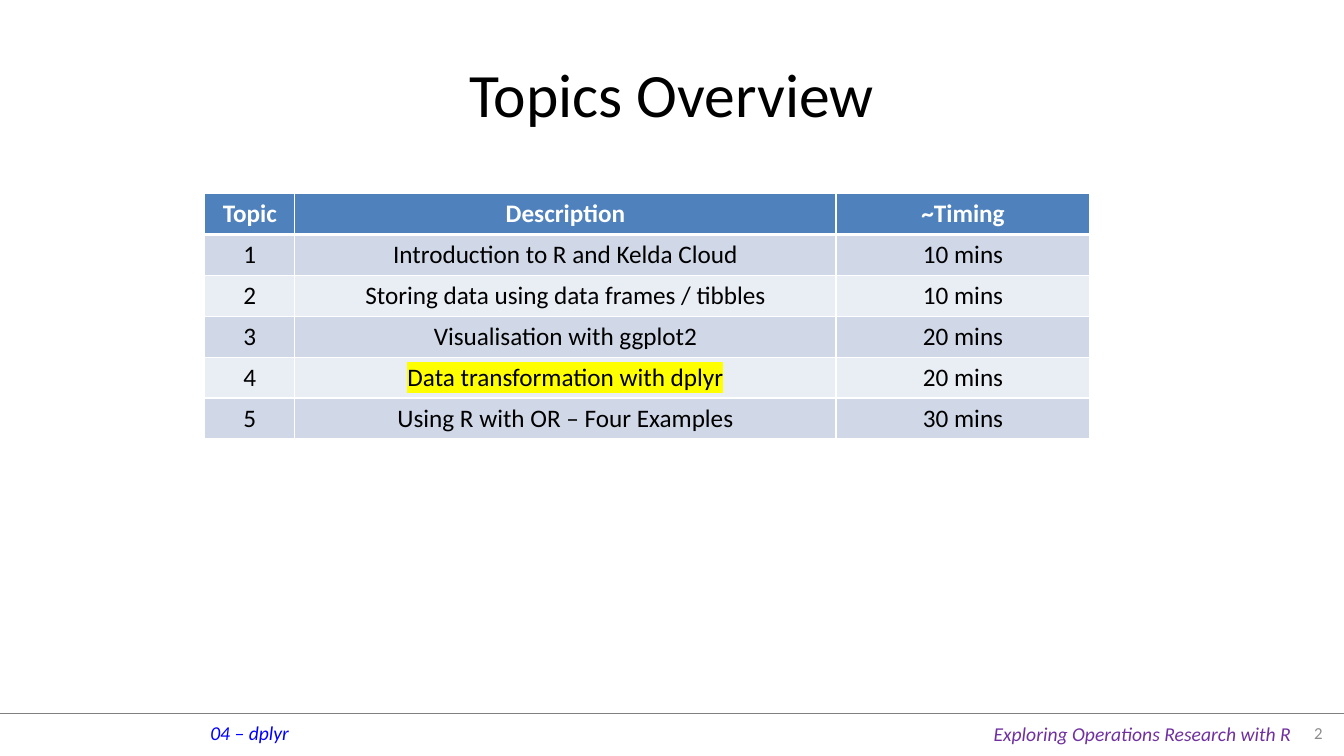
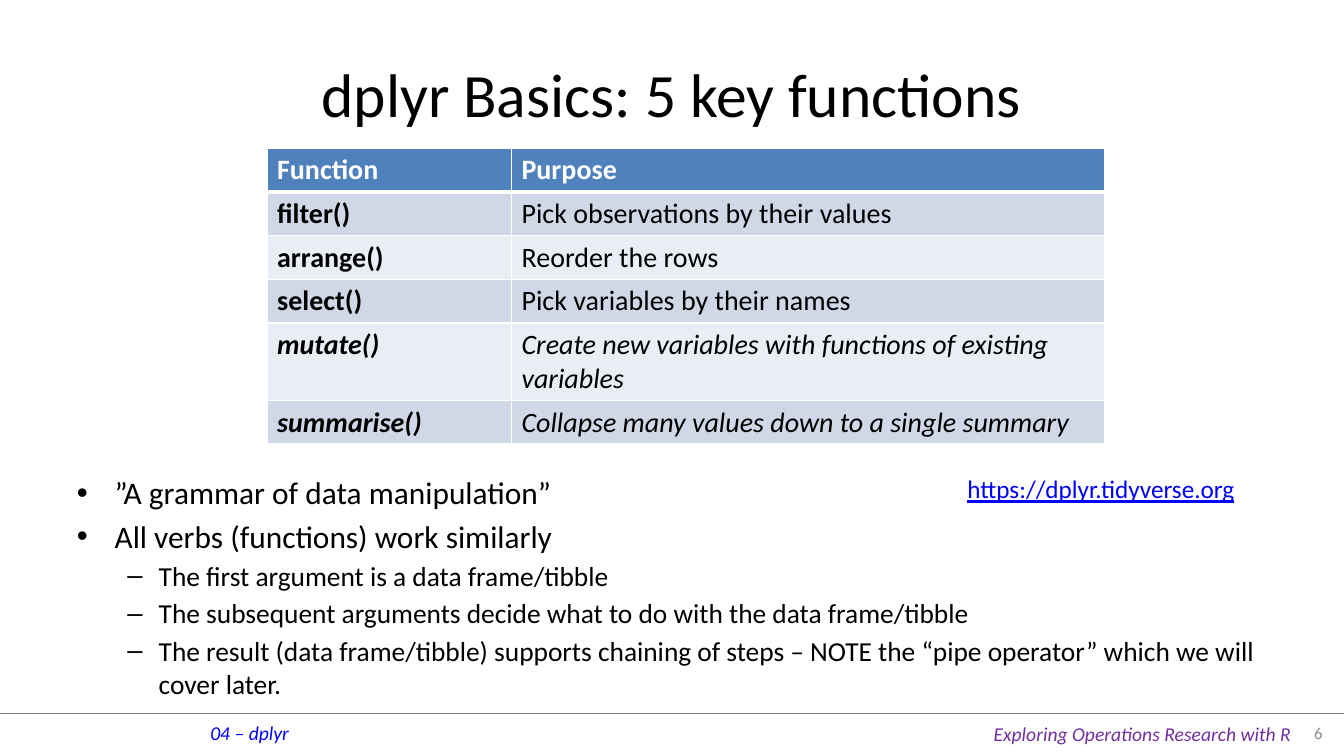
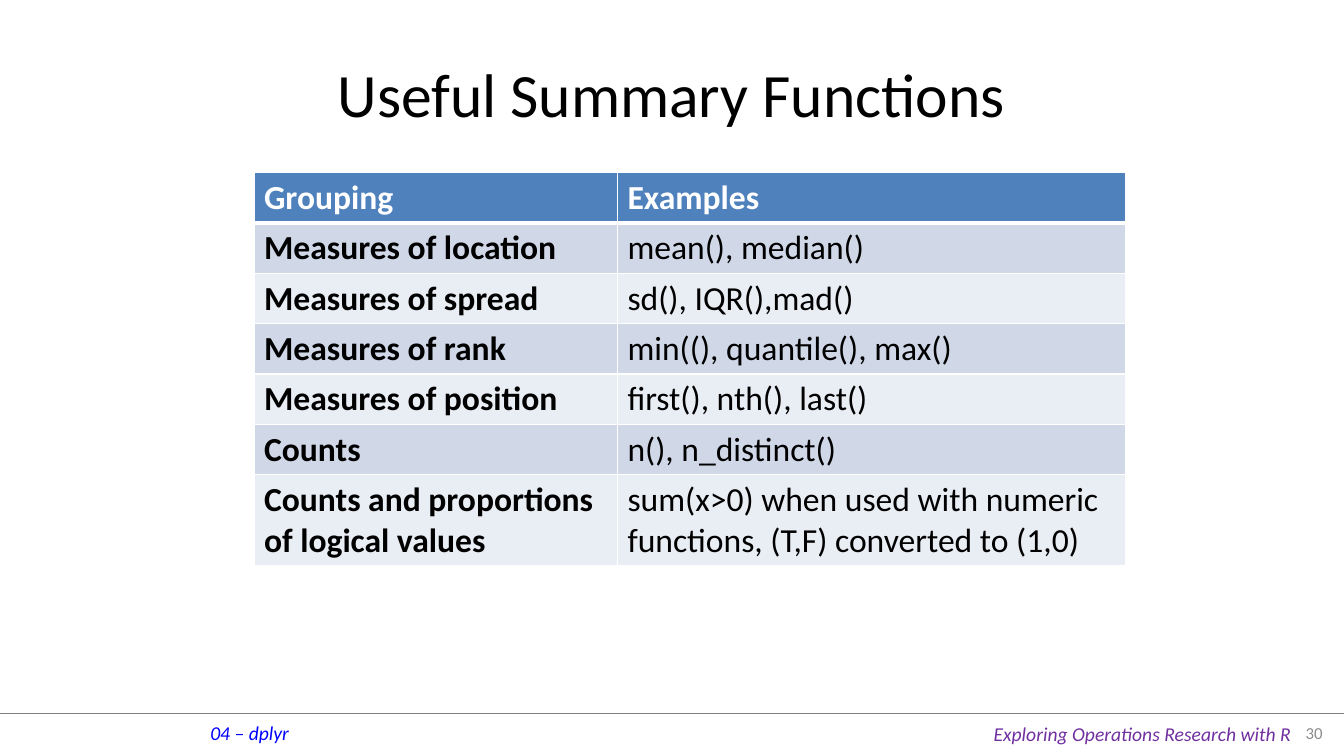
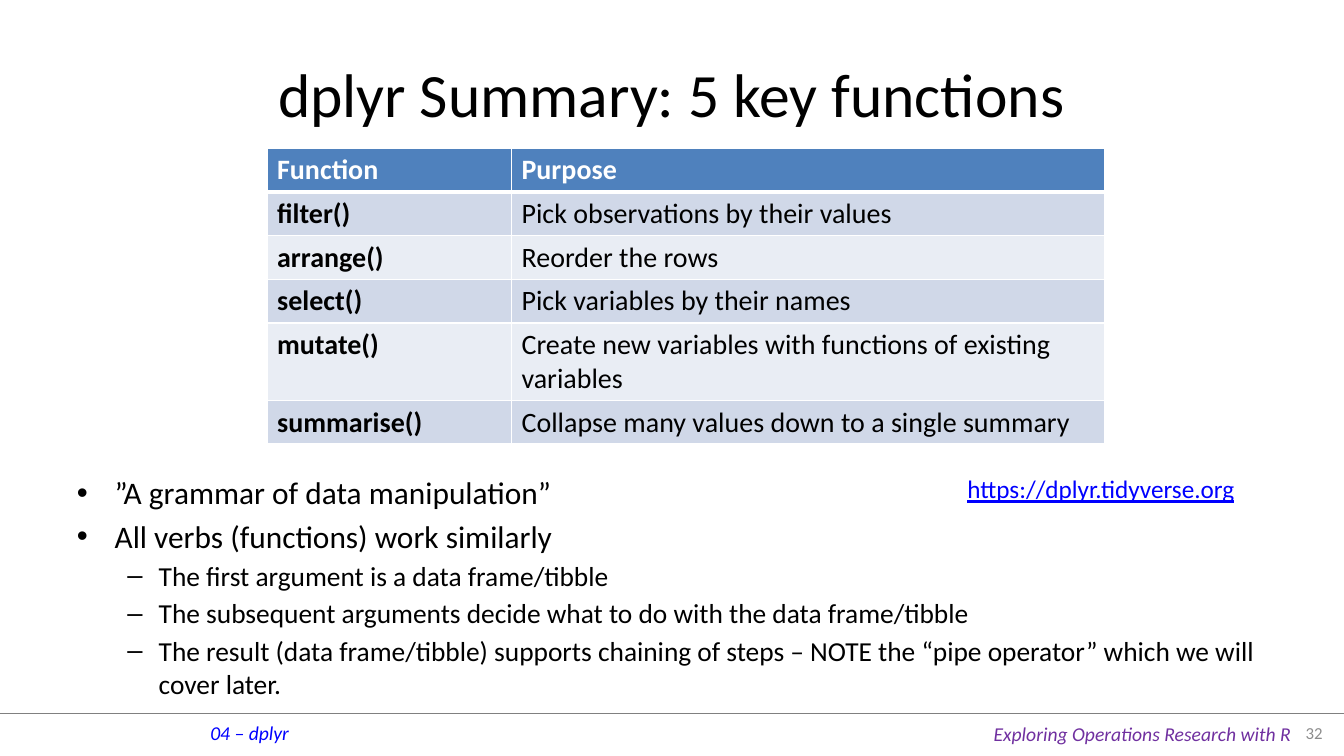
import pptx
import pptx.dml.color
import pptx.enum.shapes
import pptx.enum.text
import pptx.oxml.ns
import pptx.util
from lxml import etree

Cm = pptx.util.Cm
Pt = pptx.util.Pt
RGBColor = pptx.dml.color.RGBColor
ALIGN = pptx.enum.text.PP_ALIGN
ANCHOR = pptx.enum.text.MSO_ANCHOR
qn = pptx.oxml.ns.qn

FONT = "Calibri"
BLACK = RGBColor(0x00, 0x00, 0x00)
WHITE = RGBColor(0xFF, 0xFF, 0xFF)
BLUE = RGBColor(0x00, 0x00, 0xFF)
PURPLE = RGBColor(0x70, 0x30, 0xA0)
RULE_GRAY = RGBColor(0x80, 0x80, 0x80)
NUMBER_GRAY = RGBColor(0x8C, 0x8C, 0x8C)
YELLOW = RGBColor(0xFF, 0xFF, 0x00)
HEADER_FILL = RGBColor(0x4F, 0x81, 0xBD)
BAND_FILLS = (RGBColor(0xD0, 0xD8, 0xE8), RGBColor(0xE9, 0xED, 0xF4))

SLIDE_WIDTH, SLIDE_HEIGHT = 33.87, 19.05
RULE_TOP = 17.97
ROW_HEIGHT = 1.03
# Per outline level: bullet, size, left margin, hanging indent, space before
BULLETS = (("•", 22.4, 0.95, 0.95, 4), ("–", 19.6, 2.06, 0.79, 3.2))

TOPICS = [
    ("Topic", "Description", "~Timing"),
    ("1", "Introduction to R and Kelda Cloud", "10 mins"),
    ("2", "Storing data using data frames / tibbles", "10 mins"),
    ("3", "Visualisation with ggplot2", "20 mins"),
    ("4", "Data transformation with dplyr", "20 mins"),
    ("5", "Using R with OR – Four Examples", "30 mins"),
]
KEY_FUNCTIONS = [
    ("Function", "Purpose"),
    ("filter()", "Pick observations by their values"),
    ("arrange()", "Reorder the rows"),
    ("select()", "Pick variables by their names"),
    ("mutate()", "Create new variables with functions of existing variables"),
    ("summarise()", "Collapse many values down to a single summary"),
]
SUMMARY_FUNCTIONS = [
    ("Grouping", "Examples"),
    ("Measures of location", "mean(), median()"),
    ("Measures of spread", "sd(), IQR(),mad()"),
    ("Measures of rank", "min((), quantile(), max()"),
    ("Measures of position", "first(), nth(), last()"),
    ("Counts", "n(), n_distinct()"),
    ("Counts and proportions of logical values",
     "sum(x>0) when used with numeric functions, (T,F) converted to (1,0)"),
]
GRAMMAR_POINTS = [
    (0, "”A grammar of data manipulation”"),
    (0, "All verbs (functions) work similarly"),
    (1, "The first argument is a data frame/tibble"),
    (1, "The subsequent arguments decide what to do with the data frame/tibble"),
    (1, "The result (data frame/tibble) supports chaining of steps – NOTE the "
        "“pipe operator” which we will cover later."),
]


class Deck:
    def __init__(self):
        self.prs = pptx.Presentation()
        self.prs.slide_width = Cm(SLIDE_WIDTH)
        self.prs.slide_height = Cm(SLIDE_HEIGHT)
        self.slide = None

    def start_slide(self, title, number):
        """Add a slide with its title, footer rule, footers and number."""
        self.slide = self.prs.slides.add_slide(self.prs.slide_layouts[6])
        self.rule()
        self.text("04 – dplyr", 5.05, 18.03, 2.51, 0.86, 14, BLUE,
                  italic=True, wrap=False)
        self.text("Exploring Operations Research with R", 24.79, 18.06, 8.08,
                  0.86, 14, PURPLE, italic=True, wrap=False)
        self.text(title, 1.69, 0.76, 30.48, 3.18, 44, align=ALIGN.CENTER,
                  anchor=ANCHOR.MIDDLE)
        self.text(str(number), 32.18, 17.96, 1.4, 0.99, 12, NUMBER_GRAY,
                  align=ALIGN.RIGHT, anchor=ANCHOR.MIDDLE)

    def rule(self):
        line = self.slide.shapes.add_connector(
            pptx.enum.shapes.MSO_CONNECTOR.STRAIGHT,
            Cm(0), Cm(RULE_TOP), Cm(SLIDE_WIDTH), Cm(RULE_TOP))
        line.line.color.rgb = RULE_GRAY
        line.line.width = Pt(0.25)
        etree.SubElement(line._element.spPr, qn("a:effectLst"))

    def frame(self, left, top, width, height, wrap=True):
        box = self.slide.shapes.add_textbox(
            Cm(left), Cm(top), Cm(width), Cm(height))
        box.text_frame.word_wrap = wrap
        if not wrap:
            box.text_frame.auto_size = (
                pptx.enum.text.MSO_AUTO_SIZE.SHAPE_TO_FIT_TEXT)
        return box.text_frame

    def run(self, paragraph, words, size, color=BLACK, bold=False,
            italic=False, underline=False):
        run = paragraph.add_run()
        run.text = words
        font = run.font
        font.name, font.size = FONT, Pt(size)
        font.bold, font.italic, font.underline = bold, italic, underline
        font.color.rgb = color
        return run

    def text(self, words, left, top, width, height, size, color=BLACK,
             align=ALIGN.LEFT, anchor=ANCHOR.TOP, wrap=True, **style):
        frame = self.frame(left, top, width, height, wrap)
        frame.vertical_anchor = anchor
        paragraph = frame.paragraphs[0]
        paragraph.alignment = align
        self.run(paragraph, words, size, color, **style)

    def bullets(self, points, left, top, width, height):
        frame = self.frame(left, top, width, height)
        for index, (level, words) in enumerate(points):
            paragraph = frame.add_paragraph() if index else frame.paragraphs[0]
            mark, size, margin, hanging, space = BULLETS[level]
            paragraph.level = level
            paragraph.space_before = Pt(space)
            props = paragraph._p.get_or_add_pPr()
            props.set("marL", str(int(Cm(margin))))
            props.set("indent", str(-int(Cm(hanging))))
            etree.SubElement(props, qn("a:buFont"), typeface="Arial")
            etree.SubElement(props, qn("a:buChar"), char=mark)
            self.run(paragraph, words, size)

    def table(self, rows, left, top, widths, size, align=ALIGN.LEFT,
              bold_labels=True, italic_rows=(), highlight=None):
        """Draw a banded table; the first of the rows is its header."""
        table = self.slide.shapes.add_table(
            len(rows), len(widths), Cm(left), Cm(top), Cm(sum(widths)),
            Cm(ROW_HEIGHT * len(rows))).table
        for column, width in zip(table.columns, widths):
            column.width = Cm(width)
        for r, row in enumerate(rows):
            table.rows[r].height = Cm(ROW_HEIGHT)
            for c, words in enumerate(row):
                cell = table.cell(r, c)
                cell.fill.solid()
                cell.fill.fore_color.rgb = (
                    BAND_FILLS[(r - 1) % 2] if r else HEADER_FILL)
                self.borders(cell, top=3 if r == 1 else 1,
                             bottom=1 if r else 3)
                paragraph = cell.text_frame.paragraphs[0]
                paragraph.alignment = align
                run = self.run(paragraph, words, size, BLACK if r else WHITE,
                               bold=r == 0 or (bold_labels and c == 0),
                               italic=r in italic_rows)
                if (r, c) == highlight:
                    self.highlight(run)

    def borders(self, cell, top, bottom):
        props = cell._tc.get_or_add_tcPr()
        sides = (("L", 1), ("R", 1), ("T", top), ("B", bottom))
        for index, (side, points) in enumerate(sides):
            line = etree.Element(qn("a:ln" + side), w=str(int(Pt(points))))
            fill = etree.SubElement(line, qn("a:solidFill"))
            etree.SubElement(fill, qn("a:srgbClr"), val=str(WHITE))
            props.insert(index, line)

    def highlight(self, run):
        mark = etree.Element(qn("a:highlight"))
        etree.SubElement(mark, qn("a:srgbClr"), val=str(YELLOW))
        run._r.rPr.find(qn("a:solidFill")).addnext(mark)

    def key_functions(self, title, number, italic_rows=()):
        """Add a slide on the five key functions of dplyr."""
        self.start_slide(title, number)
        self.bullets(GRAMMAR_POINTS, 1.69, 11.81, 30.48, 5.51)
        self.table(KEY_FUNCTIONS, 6.73, 3.73, (6.16, 14.95), 20,
                   italic_rows=italic_rows)
        self.text("https://dplyr.tidyverse.org", 24.13, 11.81, 7.47, 1.02,
                  18, BLUE, underline=True)


def main():
    deck = Deck()

    deck.start_slide("Topics Overview", 2)
    deck.table(TOPICS, 5.16, 4.88, (2.27, 13.64, 6.4), 18, ALIGN.CENTER,
               bold_labels=False, highlight=(4, 1))

    deck.key_functions("dplyr Basics: 5 key functions", 6, italic_rows=(4, 5))

    deck.start_slide("Useful Summary Functions", 30)
    deck.table(SUMMARY_FUNCTIONS, 6.4, 4.34, (9.16, 12.8), 24)

    deck.key_functions("dplyr Summary: 5 key functions", 32)

    deck.prs.save("out.pptx")


if __name__ == "__main__":
    main()
